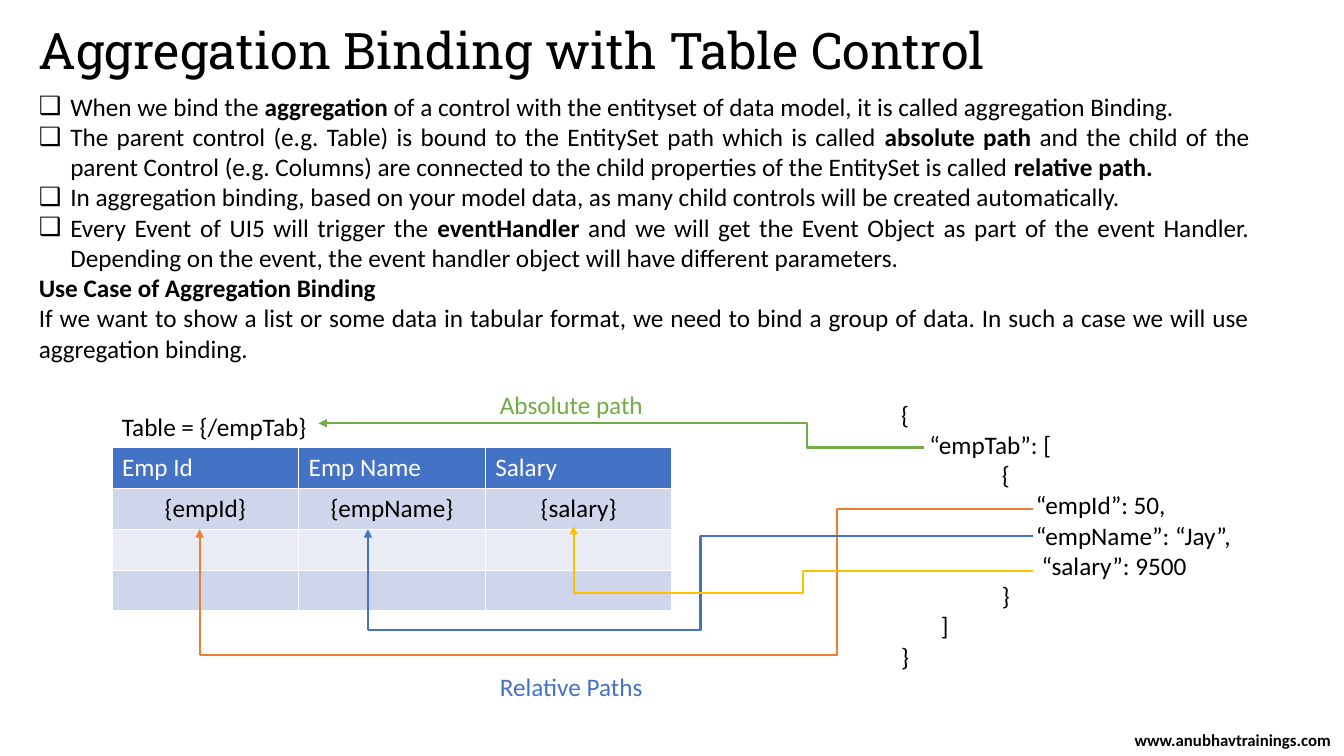
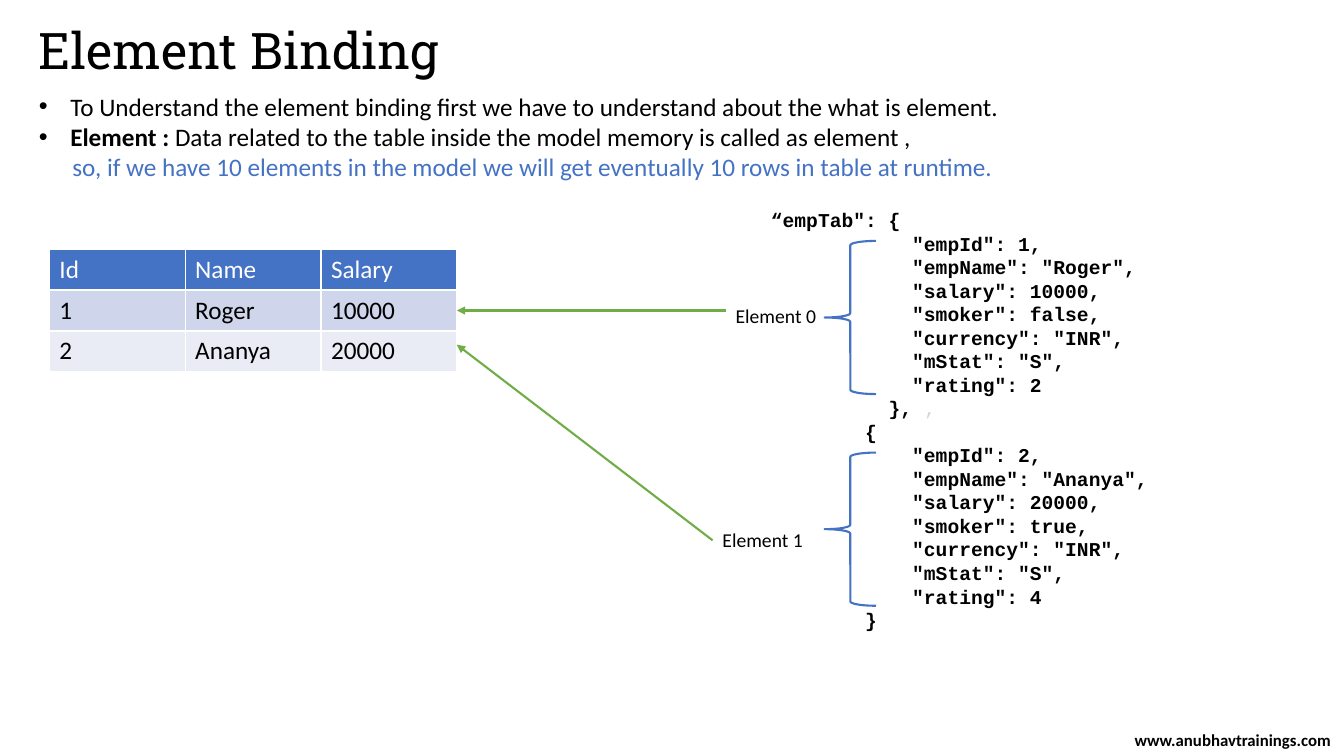
from dataclasses import dataclass

from lxml import etree
from pptx import Presentation
from pptx.dml.color import RGBColor
from pptx.enum import shapes, text
from pptx.oxml.ns import qn
from pptx.util import Pt


@dataclass(frozen=True)
class Theme:
    heading: str = "Roboto Slab"
    body: str = "Calibri"
    code: str = "Courier New"
    bullet: str = "Arial"
    title_size: int = 36
    body_size: int = 18
    small_size: int = 14
    footer_size: int = 12
    black: str = "000000"
    white: str = "FFFFFF"
    blue: str = "4472C4"
    green: str = "70AD47"
    orange: str = "ED7D31"
    gold: str = "FFC000"
    ghost: str = "D4D4D4"
    bands: tuple = ("CFD5EA", "E9EBF5")
    line: float = 1.5


THEME = Theme()
BOLD = {"bold": True}
LEFT, CENTER, JUSTIFY = (
    text.PP_ALIGN.LEFT, text.PP_ALIGN.CENTER, text.PP_ALIGN.JUSTIFY)
ROW_HEIGHT = 29.2
BULLET_INDENT = 22.5
CODE_TAB = 72
FOOTER = "www.anubhavtrainings.com"

# A paragraph is a string or a list of spans; a span is a string or (string, style).
AGGREGATION_POINTS = [
    ["When we bind the ", ("aggregation", BOLD),
     " of a control with the entityset of data model, it is called aggregation Binding."],
    ["The parent control (e.g. Table) is bound to the EntitySet path which is called ",
     ("absolute path", BOLD),
     " and the child of the parent Control (e.g. Columns) are connected to the child "
     "properties of the EntitySet is called ",
     ("relative path.", BOLD)],
    "In aggregation binding, based on your model data, as many child controls will be "
    "created automatically.",
    ["Every Event of UI5 will trigger the ", ("eventHandler ", BOLD),
     "and we will get the Event Object as part of the event Handler. Depending on the "
     "event, the event handler object will have different parameters."],
]
USE_CASE = [
    [("Use Case of Aggregation Binding", BOLD)],
    "If we want to show a list or some data in tabular format, we need to bind a group of "
    "data. In such a case we will use aggregation binding.",
]
BINDING_ROWS = [
    ("Emp Id", "Emp Name", "Salary"),
    ("{empId}", "{empName}", "{salary}"),
    ("", "", ""),
    ("", "", ""),
]
MODEL_CODE = [
    "{",
    "     “empTab”: [",
    "\t{",
    "\t      “empId”: 50,",
    "\t      “empName”: “Jay”,",
    "\t       “salary”: 9500",
    "\t}",
    "       ]",
    "}",
]
# colour, property y, bend x, column x, lowest y, arrow tip y
RELATIVE_PATHS = [
    (THEME.orange, 363.6, 598.3, 142.6, 468, 378),
    (THEME.blue, 383, 500.4, 262.8, 450, 378),
    (THEME.gold, 408.2, 573.8, 409.7, 423.4, 375.8),
]

ELEMENT_POINTS = [
    "To Understand the element binding first we have to understand about the what is element.",
    [("Element : ", BOLD),
     "Data related to the table inside the model memory is called as element ,"],
]
ELEMENT_RESULT = [
    [("so, if we have 10 elements in the model we will get eventually 10 rows in table "
      "at runtime.", {"color": THEME.blue})],
]
ELEMENT_ROWS = [
    ("Id", "Name", "Salary"),
    ("1", "Roger", "10000"),
    ("2", "Ananya", "20000"),
]
EMPLOYEES = [
    [("empId", "1"), ("empName", '"Roger"'), ("salary", "10000"), ("smoker", "false"),
     ("currency", '"INR"'), ("mStat", '"S"'), ("rating", "2")],
    [("empId", "2"), ("empName", '"Ananya"'), ("salary", "20000"), ("smoker", "true"),
     ("currency", '"INR"'), ("mStat", '"S"'), ("rating", "4")],
]


def rgb(color):
    return RGBColor.from_string(color)


def style_span(span, size, color=THEME.black, font=THEME.body, bold=False):
    span.font.size = Pt(size)
    span.font.name = font
    span.font.bold = bold
    span.font.color.rgb = rgb(color)


def set_layout(para, indent, bullet, tab):
    """Set a paragraph's indent, the bullet hanging in it, and its tab stop."""
    props = para._p.get_or_add_pPr()
    if indent:
        props.set("marL", str(Pt(indent)))
        props.set("indent", str(-Pt(indent) if bullet else 0))
    if bullet:
        etree.SubElement(props, qn("a:buFont")).set("typeface", THEME.bullet)
        etree.SubElement(props, qn("a:buChar")).set("char", bullet)
    if tab:
        stop = etree.SubElement(etree.SubElement(props, qn("a:tabLst")), qn("a:tab"))
        stop.set("pos", str(Pt(tab)))
        stop.set("algn", "l")


def write(frame, paras, size, align=LEFT, indent=0, bullet=None, tab=0, more=False, **base):
    """Write paragraphs into a text frame; more adds them after those already there."""
    for index, spans in enumerate(paras):
        para = frame.add_paragraph() if more or index else frame.paragraphs[0]
        para.alignment = align
        set_layout(para, indent, bullet, tab)
        for item in [spans] if isinstance(spans, str) else spans:
            words, style = (item, {}) if isinstance(item, str) else item
            span = para.add_run()
            span.text = words
            style_span(span, size, **{**base, **style})


def add_text(page, area, paras, size=THEME.body_size, **options):
    box = page.shapes.add_textbox(*map(Pt, area))
    box.text_frame.word_wrap = True
    write(box.text_frame, paras, size, **options)
    return box


def add_page(deck, title):
    page = deck.slides.add_slide(deck.slide_layouts[6])
    heading = add_text(page, (20.6, 15, 879, 47), [title], THEME.title_size,
                       font=THEME.heading)
    heading.text_frame.paragraphs[0].line_spacing = 0.9
    footer = add_text(page, (801.4, 522.7, 158.4, 11.5), [FOOTER], THEME.footer_size,
                      align=CENTER, bold=True)
    footer.text_frame.vertical_anchor = text.MSO_ANCHOR.MIDDLE
    return page


def add_borders(cell):
    props = cell._tc.get_or_add_tcPr()
    for index, side in enumerate(("lnL", "lnR", "lnT", "lnB")):
        edge = etree.Element(qn("a:" + side))
        edge.set("w", str(Pt(1)))
        fill = etree.SubElement(edge, qn("a:solidFill"))
        etree.SubElement(fill, qn("a:srgbClr")).set("val", THEME.white)
        props.insert(index, edge)


def add_grid(page, left, top, width, rows, body_align=LEFT):
    frame = page.shapes.add_table(len(rows), len(rows[0]), Pt(left), Pt(top), Pt(width),
                                  Pt(ROW_HEIGHT * len(rows)))
    for row, values in enumerate(rows):
        frame.table.rows[row].height = Pt(ROW_HEIGHT)
        header = row == 0
        for column, value in enumerate(values):
            cell = frame.table.cell(row, column)
            cell.fill.solid()
            cell.fill.fore_color.rgb = rgb(THEME.blue if header else THEME.bands[(row - 1) % 2])
            add_borders(cell)
            if value:
                write(cell.text_frame, [value], THEME.body_size,
                      align=LEFT if header else body_align,
                      color=THEME.white if header else THEME.black)
    return frame


def add_link(page, start, end, color, bend=None, arrow=True):
    """Draw a straight line, or an elbow whose upright part stands at x = bend."""
    kind = shapes.MSO_CONNECTOR.STRAIGHT if bend is None else shapes.MSO_CONNECTOR.ELBOW
    link = page.shapes.add_connector(kind, *map(Pt, start + end))
    link.line.color.rgb = rgb(color)
    link.line.width = Pt(THEME.line)
    props = link.element.spPr
    if bend is not None:
        share = (bend - start[0]) / (end[0] - start[0])
        geometry = props.find(qn("a:prstGeom"))
        guides = geometry.find(qn("a:avLst"))
        if guides is None:
            guides = etree.SubElement(geometry, qn("a:avLst"))
        guide = etree.SubElement(guides, qn("a:gd"))
        guide.set("name", "adj1")
        guide.set("fmla", f"val {round(share * 100000)}")
    if arrow:
        etree.SubElement(props.find(qn("a:ln")), qn("a:tailEnd")).set("type", "triangle")
    etree.SubElement(props, qn("a:effectLst"))
    return link


def add_brace(page, top):
    brace = page.shapes.add_shape(shapes.MSO_SHAPE.LEFT_BRACE,
                                  Pt(589), Pt(top), Pt(36.7), Pt(109.4))
    brace.shadow.inherit = False
    brace.fill.background()
    brace.line.color.rgb = rgb(THEME.blue)
    brace.line.width = Pt(THEME.line)


def employee_code():
    first, second = (
        [" " * 12 + f'"{key}": {value}' + ("," if key != "rating" else "")
         for key, value in employee]
        for employee in EMPLOYEES)
    between = [" " * 10 + "},", (" ,", {"color": THEME.ghost, "bold": False})]
    return ['“empTab": {', *first, between, " " * 8 + "{", *second, " " * 8 + "}"]


def build_aggregation(deck):
    page = add_page(deck, "Aggregation Binding with Table Control")
    body = add_text(page, (20.6, 61.5, 879, 203), AGGREGATION_POINTS, align=JUSTIFY,
                    indent=BULLET_INDENT, bullet="❑")
    write(body.text_frame, USE_CASE, THEME.body_size, align=JUSTIFY, more=True)

    add_grid(page, 80, 319.7, 400, BINDING_ROWS, body_align=CENTER)
    add_text(page, (80, 290.2, 157.7, 29), ["Table = {/empTab}"])
    add_text(page, (636.5, 281.5, 259, 204), MODEL_CODE, tab=CODE_TAB)
    add_text(page, (350, 274.3, 199, 29), ["Absolute path"], color=THEME.green)
    add_text(page, (350, 476, 130, 29), ["Relative Paths"], color=THEME.blue)

    add_link(page, (660.2, 319.7), (227.5, 302.4), THEME.green, bend=576.7)
    for color, key_y, bend, column_x, low_y, tip_y in RELATIVE_PATHS:
        add_link(page, (738, key_y), (column_x, low_y), color, bend=bend, arrow=False)
        add_link(page, (column_x, low_y), (column_x, tip_y), color)


def build_element(deck):
    page = add_page(deck, "Element Binding")
    body = add_text(page, (20.6, 61.5, 879, 73), ELEMENT_POINTS,
                    indent=BULLET_INDENT, bullet="•")
    write(body.text_frame, ELEMENT_RESULT, THEME.body_size, indent=24, more=True)

    add_text(page, (543.6, 145, 400, 330), employee_code(), THEME.small_size,
             font=THEME.code, bold=True)
    for top in (172.1, 323.3):
        add_brace(page, top)
    grid = add_grid(page, 35.3, 178, 291, ELEMENT_ROWS)
    add_text(page, (518.4, 213.8, 80, 24.5), ["Element 0"], THEME.small_size)
    second = add_text(page, (509, 373.7, 80, 24.5), ["Element 1"], THEME.small_size)

    add_link(page, (518.4, 221.8), (326.3, 221.8), THEME.green).end_connect(grid, 3)
    add_link(page, (509, 386), (326.3, 246.2), THEME.green).begin_connect(second, 1)


def main():
    deck = Presentation()
    deck.slide_width, deck.slide_height = Pt(960), Pt(540)
    build_aggregation(deck)
    build_element(deck)
    deck.save("out.pptx")


if __name__ == "__main__":
    main()
